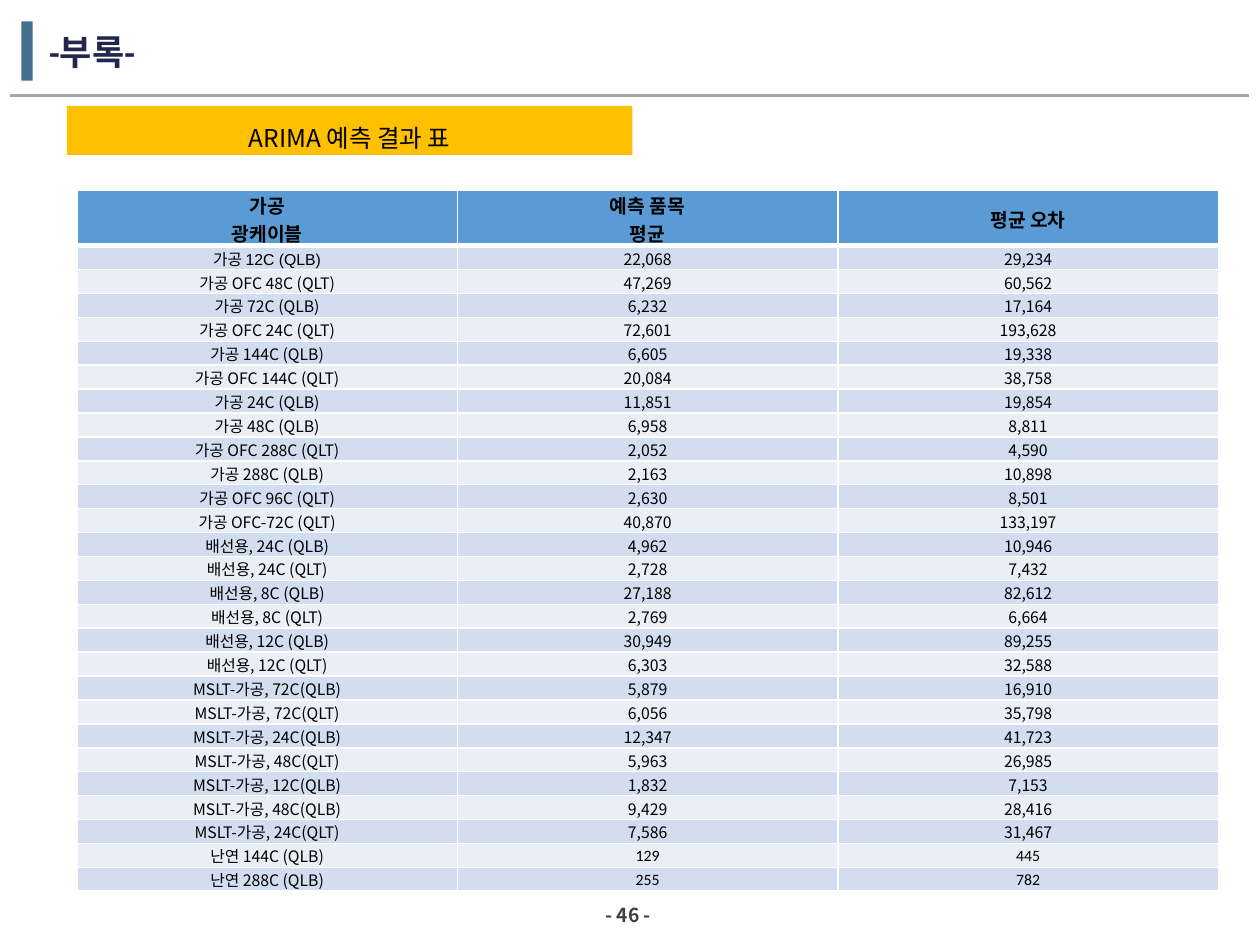
from pptx import Presentation, util as u
from pptx.dml.color import RGBColor
from pptx.enum import shapes as sh, text as tx
from pptx.oxml import ns
from lxml import etree

TITLE = "-부록-"
BANNER = "ARIMA 예측 결과 표"
PAGE = "- 46 -"
HEAD = ("가공\n광케이블", "예측 품목\n평균", "평균 오차")
ROWS = [
    ("가공 12C (QLB)", "22,068", "29,234"),
    ("가공 OFC 48C (QLT)", "47,269", "60,562"),
    ("가공 72C (QLB)", "6,232", "17,164"),
    ("가공 OFC 24C (QLT)", "72,601", "193,628"),
    ("가공 144C (QLB)", "6,605", "19,338"),
    ("가공 OFC 144C (QLT)", "20,084", "38,758"),
    ("가공 24C (QLB)", "11,851", "19,854"),
    ("가공 48C (QLB)", "6,958", "8,811"),
    ("가공 OFC 288C (QLT)", "2,052", "4,590"),
    ("가공 288C (QLB)", "2,163", "10,898"),
    ("가공 OFC 96C (QLT)", "2,630", "8,501"),
    ("가공 OFC-72C (QLT)", "40,870", "133,197"),
    ("배선용, 24C (QLB)", "4,962", "10,946"),
    ("배선용, 24C (QLT)", "2,728", "7,432"),
    ("배선용, 8C (QLB)", "27,188", "82,612"),
    ("배선용, 8C (QLT)", "2,769", "6,664"),
    ("배선용, 12C (QLB)", "30,949", "89,255"),
    ("배선용, 12C (QLT)", "6,303", "32,588"),
    ("MSLT-가공, 72C(QLB)", "5,879", "16,910"),
    ("MSLT-가공, 72C(QLT)", "6,056", "35,798"),
    ("MSLT-가공, 24C(QLB)", "12,347", "41,723"),
    ("MSLT-가공, 48C(QLT)", "5,963", "26,985"),
    ("MSLT-가공, 12C(QLB)", "1,832", "7,153"),
    ("MSLT-가공, 48C(QLB)", "9,429", "28,416"),
    ("MSLT-가공, 24C(QLT)", "7,586", "31,467"),
    ("난연 144C (QLB)", "129", "445"),
    ("난연 288C (QLB)", "255", "782"),
]
THEME = {
    "font": "Noto Sans CJK KR", "latin": "Calibri", "plain": "Arial",
    "title": (20, "22274F"), "banner": (14, "000000"), "page": (11, "404040"),
    "head": (11, "000000"), "body": (9, "000000"),
    "bar": "446F8D", "rule": "A6A6A6", "gold": "FFC000",
    "blue": "5B9BD5", "bands": ("D2DEEF", "EAEFF7"), "edge": "FFFFFF",
}


def paint(fill, color):
    fill.solid()
    fill.fore_color.rgb = RGBColor.from_string(color)


def style(frame, role, font=THEME["font"], bold=False, align=tx.PP_ALIGN.CENTER):
    size, color = THEME[role]
    for para in frame.paragraphs:
        para.alignment = align
        for run in para.runs:
            run.font.size = u.Pt(size)
            run.font.bold = bold
            run.font.name = font
            run.font.color.rgb = RGBColor.from_string(color)
            east = etree.SubElement(run.font._element, ns.qn("a:ea"))
            east.set("typeface", THEME["font"])


def inset(box, left, top, right, low):
    box.margin_left, box.margin_top = u.Inches(left), u.Inches(top)
    box.margin_right, box.margin_bottom = u.Inches(right), u.Inches(low)


def block(slide, place, color):
    box = slide.shapes.add_shape(sh.MSO_SHAPE.RECTANGLE, *map(u.Inches, place))
    box.shadow.inherit = False
    box.line.fill.background()
    paint(box.fill, color)
    return box


def border(cell, low):
    props = cell._tc.get_or_add_tcPr()
    for side, width in (("L", 1), ("R", 1), ("T", 1), ("B", low)):
        line = etree.SubElement(props, ns.qn("a:ln" + side), w=str(u.Pt(width)))
        solid = etree.SubElement(line, ns.qn("a:solidFill"))
        etree.SubElement(solid, ns.qn("a:srgbClr"), val=THEME["edge"])


def put(cell, words, role, color, font, bold=False, low=1):
    cell.text_frame.text = words
    cell.vertical_anchor = tx.MSO_ANCHOR.MIDDLE
    inset(cell, 0.01, 0.01, 0.01, 0)
    style(cell.text_frame, role, font, bold)
    border(cell, low)
    paint(cell.fill, color)


def fonts(row):
    number = THEME["latin"] if len(row[1]) == 3 else THEME["font"]
    label = THEME["plain"] if row is ROWS[0] else THEME["font"]
    return label, number, number


def frame(slide):
    block(slide, (0.17, 0.17, 0.09, 0.47), THEME["bar"])
    rule = slide.shapes.add_connector(
        sh.MSO_CONNECTOR.STRAIGHT, *map(u.Inches, (9.91, 0.76, 0.08, 0.76)))
    rule.line.width = u.Pt(1.5)
    paint(rule.line.fill, THEME["rule"])
    etree.SubElement(rule._element.spPr, ns.qn("a:effectLst"))

    page = slide.shapes.add_textbox(*map(u.Inches, (3.91, 7.14, 2.15, 0.24))).text_frame
    page.word_wrap = True
    page.vertical_anchor = tx.MSO_ANCHOR.MIDDLE
    page.text = PAGE
    style(page, "page", bold=True)


def heading(slide):
    title = slide.shapes.title
    title.left, title.top, title.width, title.height = map(u.Inches, (0.29, 0.08, 9.42, 0.65))
    words = title.text_frame
    words.text = TITLE
    words.vertical_anchor = tx.MSO_ANCHOR.MIDDLE
    inset(words, 0.1, 0.05, 0.1, 0)
    words.paragraphs[0].line_spacing = 0.9
    style(words, "title", THEME["latin"], True, tx.PP_ALIGN.LEFT)

    words = block(slide, (0.53, 0.84, 4.49, 0.39), THEME["gold"]).text_frame
    words.text = BANNER
    words.word_wrap = False
    words.vertical_anchor = tx.MSO_ANCHOR.MIDDLE
    para = words.paragraphs[0]
    para.line_spacing = 1.5
    props = para._p.get_or_add_pPr()
    props.set("marL", str(u.Inches(0.19)))
    props.set("indent", str(u.Inches(-0.19)))
    style(words, "banner")


def results(slide):
    high, step = 0.44, 0.19
    grid = slide.shapes.add_table(
        len(ROWS) + 1, len(HEAD), *map(u.Inches, (0.61, 1.51, 9.06, high + step * len(ROWS)))).table
    for row in grid.rows:
        row.height = u.Inches(step)
    grid.rows[0].height = u.Inches(high)
    for col, words in enumerate(HEAD):
        put(grid.cell(0, col), words, "head", THEME["blue"], THEME["font"], True, 3)
    for num, row in enumerate(ROWS):
        for col, (words, font) in enumerate(zip(row, fonts(row))):
            put(grid.cell(num + 1, col), words, "body", THEME["bands"][num % 2], font)


def main():
    deck = Presentation()
    deck.slide_width, deck.slide_height = u.Inches(10), u.Inches(7.5)
    slide = deck.slides.add_slide(deck.slide_layouts[5])
    frame(slide)
    heading(slide)
    results(slide)
    deck.save("out.pptx")


if __name__ == "__main__":
    main()
